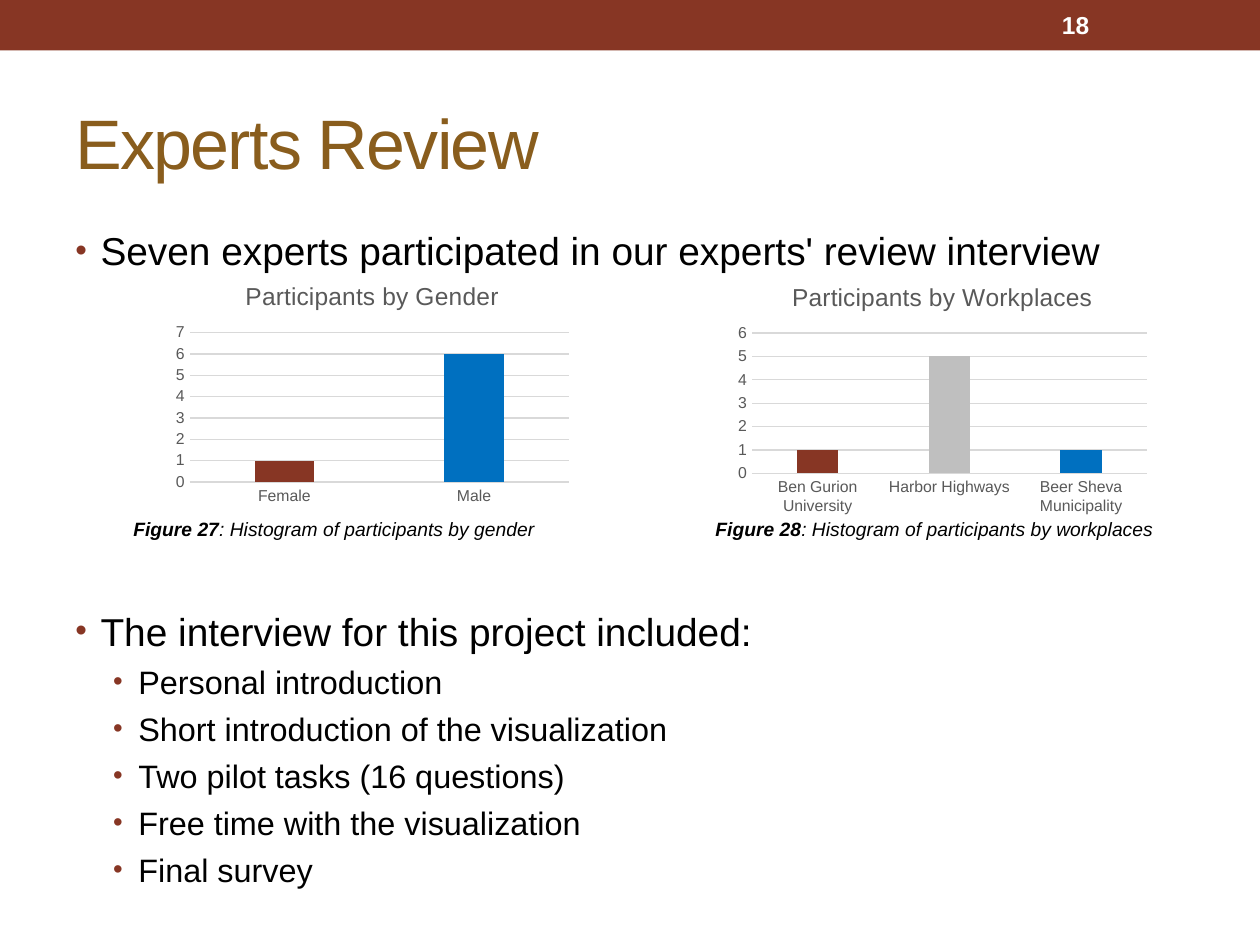
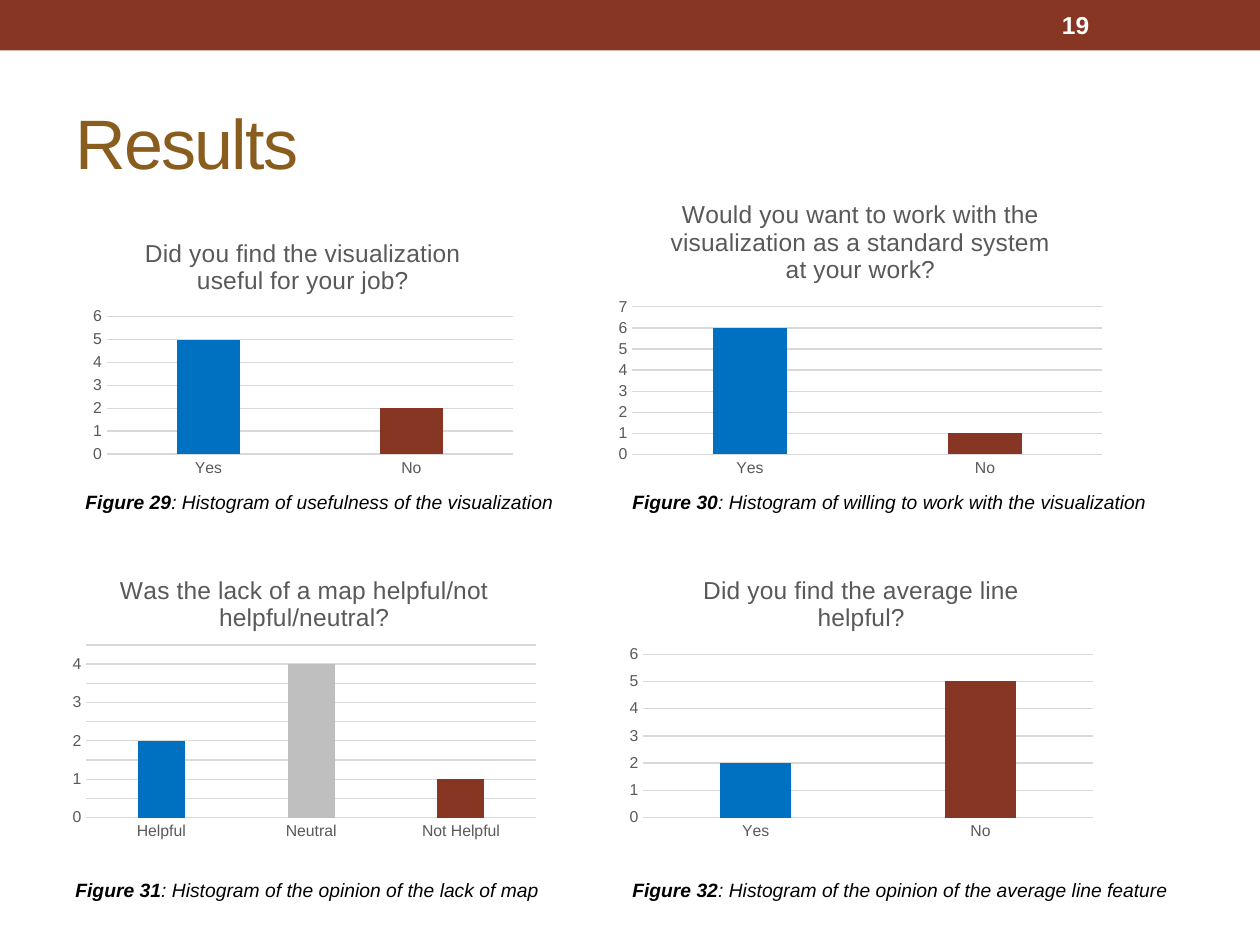
from dataclasses import dataclass

from lxml import etree
from pptx import Presentation
from pptx.chart.data import CategoryChartData
from pptx.dml.color import RGBColor
from pptx.enum.chart import XL_CHART_TYPE, XL_TICK_MARK
from pptx.enum.shapes import MSO_SHAPE
from pptx.enum.text import MSO_ANCHOR, MSO_AUTO_SIZE
from pptx.oxml.ns import qn
from pptx.util import Inches, Pt

COLUMN = XL_CHART_TYPE.COLUMN_CLUSTERED
NO_TICK = XL_TICK_MARK.NONE
RECT = MSO_SHAPE.RECTANGLE
MIDDLE = MSO_ANCHOR.MIDDLE
TOP = MSO_ANCHOR.TOP
GROW = MSO_AUTO_SIZE.SHAPE_TO_FIT_TEXT


@dataclass(frozen=True)
class Theme:
    face: str = "Arial"
    brick: str = "873624"
    gold: str = "895D1D"
    blue: str = "0070C0"
    gray: str = "BFBFBF"
    grid: str = "D9D9D9"
    label: str = "595959"
    black: str = "000000"
    white: str = "FFFFFF"
    title: float = 40
    lead: float = 22.2
    sub: float = 18.5
    head: float = 14
    note: float = 11
    tick: float = 9


THEME = Theme()


def style(font, size, color, **extra):
    values = {"name": THEME.face, "size": Pt(size), **extra}
    for key, value in values.items():
        setattr(font, key, value)
    font.color.rgb = RGBColor.from_string(color)


def add_box(slide, place, anchor=TOP):
    box = slide.shapes.add_textbox(*map(Inches, place))
    box.text_frame.word_wrap = True
    box.text_frame.vertical_anchor = anchor
    return box.text_frame


def add_run(para, text, size, color, **extra):
    run = para.add_run()
    run.text = text
    style(run.font, size, color, **extra)
    return run


def add_frame(deck, title, number):
    slide = deck.slides.add_slide(deck.slide_layouts[6])
    band = slide.shapes.add_shape(RECT, 0, 0, deck.slide_width, Inches(0.4))
    band.shadow.inherit = False
    band.fill.solid()
    band.fill.fore_color.rgb = RGBColor.from_string(THEME.brick)
    band.line.fill.background()
    head = add_box(slide, (0.5, 0.58, 9, 1.08), MIDDLE).paragraphs[0]
    run = add_run(head, title, THEME.title, THEME.gold)
    run.font._element.set("spc", "-100")
    page = add_box(slide, (8.33, 0.02, 1.17, 0.36), MIDDLE).paragraphs[0]
    add_run(page, str(number), THEME.head, THEME.white, bold=True)
    return slide


def add_bullet(para, indent):
    props = para._p.get_or_add_pPr()
    props.set("marL", str(Inches(indent)))
    props.set("indent", str(-Inches(0.2)))
    color = etree.SubElement(props, qn("a:buClr"))
    etree.SubElement(color, qn("a:srgbClr"), val=THEME.brick)
    etree.SubElement(props, qn("a:buSzPct"), val="85000")
    etree.SubElement(props, qn("a:buFont"), typeface=THEME.face)
    etree.SubElement(props, qn("a:buChar"), char="•")


def add_list(slide, place, lead, items=()):
    frame = add_box(slide, place)
    rows = [(lead, 0.2, THEME.lead)]
    rows += [(item, 0.5, THEME.sub) for item in items]
    for index, (text, indent, size) in enumerate(rows):
        para = frame.add_paragraph() if index else frame.paragraphs[0]
        add_bullet(para, indent)
        if index:
            para.space_before = Pt(4.6)
        add_run(para, text, size, THEME.black)


def add_note(slide, place, figure, text):
    frame = add_box(slide, (*place, 0.29))
    frame.auto_size = GROW
    para = frame.paragraphs[0]
    add_run(para, f"Figure {figure}", THEME.note, THEME.black, bold=True, italic=True)
    add_run(para, f": {text}", THEME.note, THEME.black, italic=True)


def set_line(line, color):
    line.color.rgb = RGBColor.from_string(color)
    line.width = Pt(0.75)


def add_bars(slide, place, title, bars, **scale):
    data = CategoryChartData()
    data.categories = [name for name, _, _ in bars]
    data.add_series(title, [value for _, value, _ in bars])
    chart = slide.shapes.add_chart(COLUMN, *map(Inches, place), data).chart
    style(chart.font, THEME.tick, THEME.label)
    chart.has_legend = False
    chart.has_title = True
    add_run(chart.chart_title.text_frame.paragraphs[0], title,
            THEME.head, THEME.label, bold=False)
    chart.chart_title.include_in_layout = False

    plot = chart.plots[0]
    for key, value in {"gap_width": 219, "overlap": -27,
                       "vary_by_categories": False}.items():
        setattr(plot, key, value)
    series = plot.series[0]
    series.format.fill.solid()
    series.format.fill.fore_color.rgb = RGBColor.from_string(THEME.brick)
    for index, (_, _, color) in enumerate(bars):
        if color != THEME.brick:
            fill = series.points[index].format.fill
            fill.solid()
            fill.fore_color.rgb = RGBColor.from_string(color)

    for axis in (chart.category_axis, chart.value_axis):
        axis.major_tick_mark = axis.minor_tick_mark = NO_TICK
        style(axis.tick_labels.font, THEME.tick, THEME.label)
    set_line(chart.category_axis.format.line, THEME.grid)
    chart.value_axis.format.line.fill.background()
    set_line(chart.value_axis.major_gridlines.format.line, THEME.grid)
    for key, value in scale.items():
        setattr(chart.value_axis, key, value)


def yes_no(yes, no):
    return [("Yes", yes, THEME.blue), ("No", no, THEME.brick)]


def add_review(deck):
    slide = add_frame(deck, "Experts Review", 18)
    add_list(slide, (0.5, 1.75, 9, 0.46),
             "Seven experts participated in our experts' review interview")
    add_list(slide, (0.5, 4.77, 9, 2.31),
             "The interview for this project included:",
             ["Personal introduction",
              "Short introduction of the visualization",
              "Two pilot tasks (16 questions)",
              "Free time with the visualization",
              "Final survey"])
    add_bars(slide, (1.33, 2.1, 3.25, 1.95), "Participants by Gender",
             [("Female", 1, THEME.brick), ("Male", 6, THEME.blue)])
    add_bars(slide, (5.79, 2.1, 3.38, 2.03), "Participants by Workplaces",
             [("Ben Gurion University", 1, THEME.brick),
              ("Harbor Highways", 5, THEME.gray),
              ("Beer Sheva Municipality", 1, THEME.blue)])
    add_note(slide, (0.96, 4.06, 4), 27, "Histogram of participants by gender")
    add_note(slide, (5.58, 4.06, 4), 28, "Histogram of participants by workplaces")


def add_results(deck):
    slide = add_frame(deck, "Results", 19)
    add_bars(slide, (0.67, 1.75, 3.47, 2.08),
             "Did you find the visualization useful for your job?", yes_no(5, 2))
    add_bars(slide, (4.83, 1.44, 4, 2.4),
             "Would you want to work with the visualization "
             "as a standard system at your work?", yes_no(6, 1))
    add_bars(slide, (0.5, 4.42, 3.83, 2.3),
             "Was the lack of a map helpful/not helpful/neutral?",
             [("Helpful", 2, THEME.blue), ("Neutral", 4, THEME.gray),
              ("Not Helpful", 1, THEME.brick)],
             minimum_scale=0, maximum_scale=4.5, major_unit=0.5)
    add_bars(slide, (4.92, 4.42, 3.83, 2.3),
             "Did you find the average line helpful?", yes_no(2, 5))
    notes = [((0.58, 3.84, 4), "usefulness of the visualization"),
             ((4.92, 3.84, 4.33), "willing to work with the visualization"),
             ((0.5, 6.92, 4), "the opinion of the lack of map"),
             ((4.92, 6.92, 4.5), "the opinion of the average line feature")]
    for figure, (place, topic) in enumerate(notes, 29):
        add_note(slide, place, figure, f"Histogram of {topic}")


def main():
    deck = Presentation()
    deck.slide_width, deck.slide_height = Inches(10), Inches(7.5)
    add_review(deck)
    add_results(deck)
    deck.save("out.pptx")


if __name__ == "__main__":
    main()
